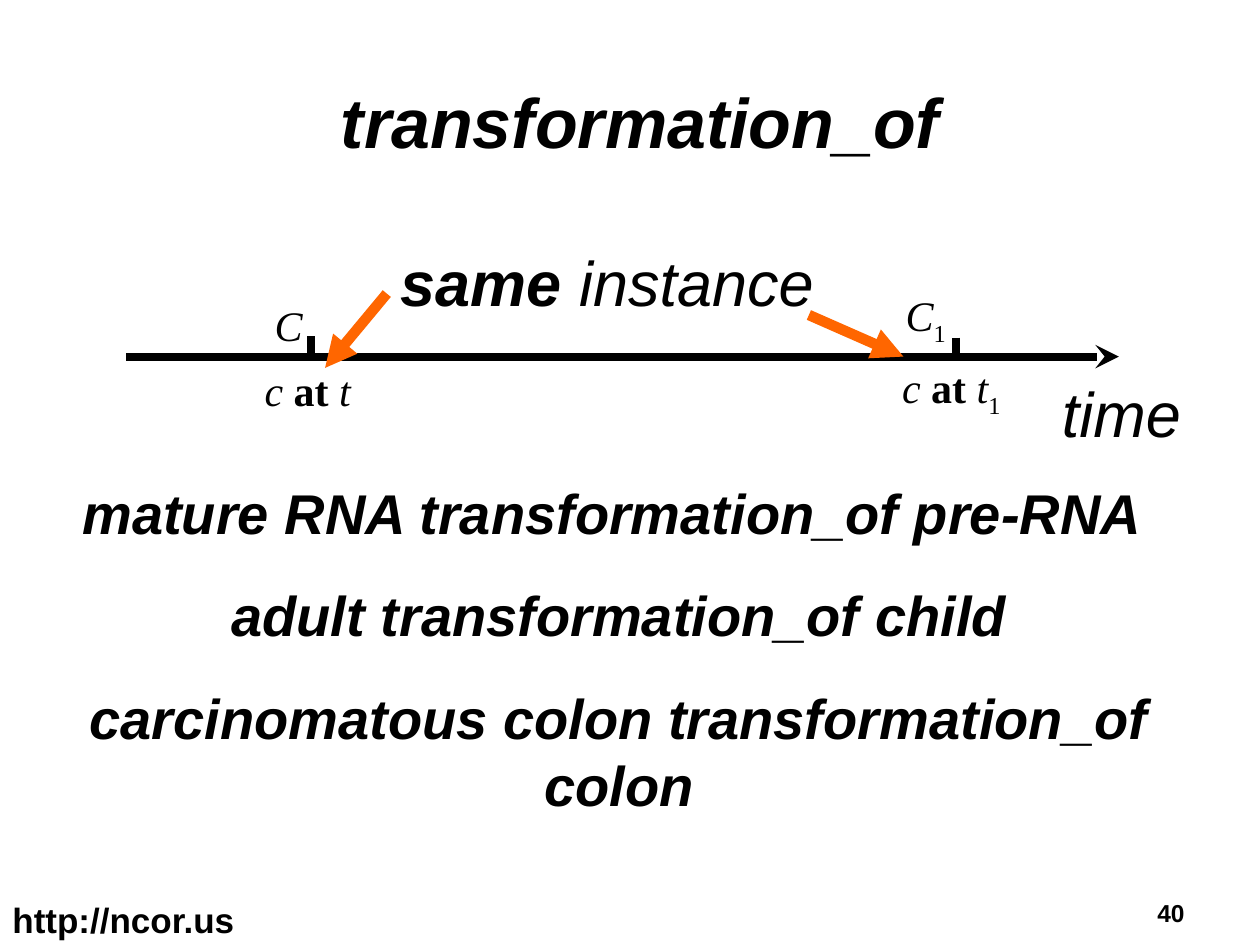
from dataclasses import dataclass, field

from lxml.etree import SubElement
from pptx import Presentation
from pptx.dml.color import RGBColor
from pptx.enum.shapes import MSO_CONNECTOR as Connector
from pptx.enum.text import MSO_ANCHOR as Anchor, PP_ALIGN as Align
from pptx.oxml.ns import qn
from pptx.util import Inches, Pt

COLORS = {"ink": "000000", "pointer": "FF6600"}
SANS, SERIF = "Arial", "Times New Roman"
WIDE_INSETS, TIGHT_INSETS = (0.1, 0.05), (0.08, 0.04)


@dataclass
class Span:
    text: str
    bold: bool = False
    italic: bool = False
    subscript: bool = False


@dataclass
class Para:
    spans: list[Span]
    indent: float = 0
    layout: dict = field(default_factory=dict)


@dataclass
class Label:
    at: tuple[float, float, float, float]
    paras: list[Para]
    size: float
    font: str = SANS
    insets: tuple[float, float] = WIDE_INSETS
    anchor: Anchor = Anchor.TOP


@dataclass
class Line:
    start: tuple[float, float]
    end: tuple[float, float]
    width: float = 4.5
    color: str = "ink"
    arrowhead: str = ""


def instance_at(time: str) -> list[Span]:
    return [Span("c ", italic=True), Span("at ", bold=True), Span(time, italic=True)]


def strong(text: str, **layout) -> Para:
    return Para([Span(text, bold=True, italic=True)], layout=layout)


def draw_label(slide, label: Label) -> None:
    box = slide.shapes.add_textbox(*map(Inches, label.at))
    frame = box.text_frame
    side, edge = map(Inches, label.insets)
    frame_format = {
        "word_wrap": True, "vertical_anchor": label.anchor,
        "margin_left": side, "margin_right": side,
        "margin_top": edge, "margin_bottom": edge,
    }
    for name, value in frame_format.items():
        setattr(frame, name, value)
    for index, content in enumerate(label.paras):
        para = frame.add_paragraph() if index else frame.paragraphs[0]
        if content.indent:
            para._p.get_or_add_pPr().set("marL", str(Inches(content.indent)))
        for name, value in content.layout.items():
            setattr(para, name, value)
        for span in content.spans:
            draw_span(para, span, label)


def draw_span(para, span: Span, label: Label) -> None:
    run = para.add_run()
    run.text = span.text
    font_format = {"name": label.font, "size": Pt(label.size),
                   "bold": span.bold, "italic": span.italic}
    for name, value in font_format.items():
        setattr(run.font, name, value)
    run.font.color.rgb = RGBColor.from_string(COLORS["ink"])
    if span.subscript:
        run._r.get_or_add_rPr().set("baseline", "-25000")


def draw_line(slide, line: Line) -> None:
    connector = slide.shapes.add_connector(
        Connector.STRAIGHT, *map(Inches, line.start + line.end))
    connector.line.width = Pt(line.width)
    connector.line.color.rgb = RGBColor.from_string(COLORS[line.color])
    if line.arrowhead:
        SubElement(connector.line._get_or_add_ln(), qn("a:tailEnd"), type=line.arrowhead)
    SubElement(connector._element.spPr, qn("a:effectLst"))


AXIS_Y = 2.83
ONE = Span("1", subscript=True)
SPACED = {"space_after": Pt(8)}
EXAMPLES = [
    "mature RNA transformation_of pre-RNA ",
    "adult transformation_of child",
    "carcinomatous colon transformation_of colon",
]

LINES = [
    Line((1, AXIS_Y), (8.88, AXIS_Y), arrowhead="stealth"),
    Line((2.47, 2.67), (2.47, AXIS_Y)),
    Line((7.59, 2.68), (7.59, 2.85)),
    Line((6.42, 2.5), (7.17, AXIS_Y), 6, "pointer", "triangle"),
    Line((3.07, 2.33), (2.58, 2.92), 6, "pointer", "triangle"),
]

LABELS = [
    Label((0.58, 0.33, 9, 1.25), [strong("transformation_of", alignment=Align.CENTER)],
          40, anchor=Anchor.MIDDLE),
    Label((7.08, AXIS_Y, 1.2, 0.51), [Para(instance_at("t") + [ONE])],
          24, SERIF, TIGHT_INSETS),
    Label((2.02, 2.34, 1.06, 1.12),
          [Para([Span("C", italic=True)], 0.08, SPACED),
           Para(instance_at("t"), layout=SPACED)],
          24, SERIF, TIGHT_INSETS),
    Label((6.67, 2.25, 1.67, 0.56), [Para([Span("C", italic=True), ONE], 0.42)], 24, SERIF),
    Label((8.33, 2.92, 2.42, 0.7), [Para([Span("time", italic=True)])], 36),
    Label((3.08, 1.88, 3.83, 0.7),
          [Para([Span("same ", bold=True, italic=True), Span("instance", italic=True)])], 36),
    Label((0.33, 3.75, 9.17, 3.6),
          [strong(text, alignment=Align.CENTER, space_before=Pt(20 if index else 0))
           for index, text in enumerate(EXAMPLES)], 32),
    Label((0, 7.08, 6.58, 0.27), [Para([Span("http://ncor.us", bold=True)])], 20),
    Label((7.17, 7.08, 2.33, 0.27),
          [Para([Span("40", bold=True)], layout={"alignment": Align.RIGHT})], 14),
]


def main() -> None:
    deck = Presentation()
    deck.slide_width, deck.slide_height = Inches(10), Inches(7.5)
    slide = deck.slides.add_slide(deck.slide_layouts[6])
    for line in LINES:
        draw_line(slide, line)
    for label in LABELS:
        draw_label(slide, label)
    deck.save("out.pptx")


if __name__ == "__main__":
    main()
